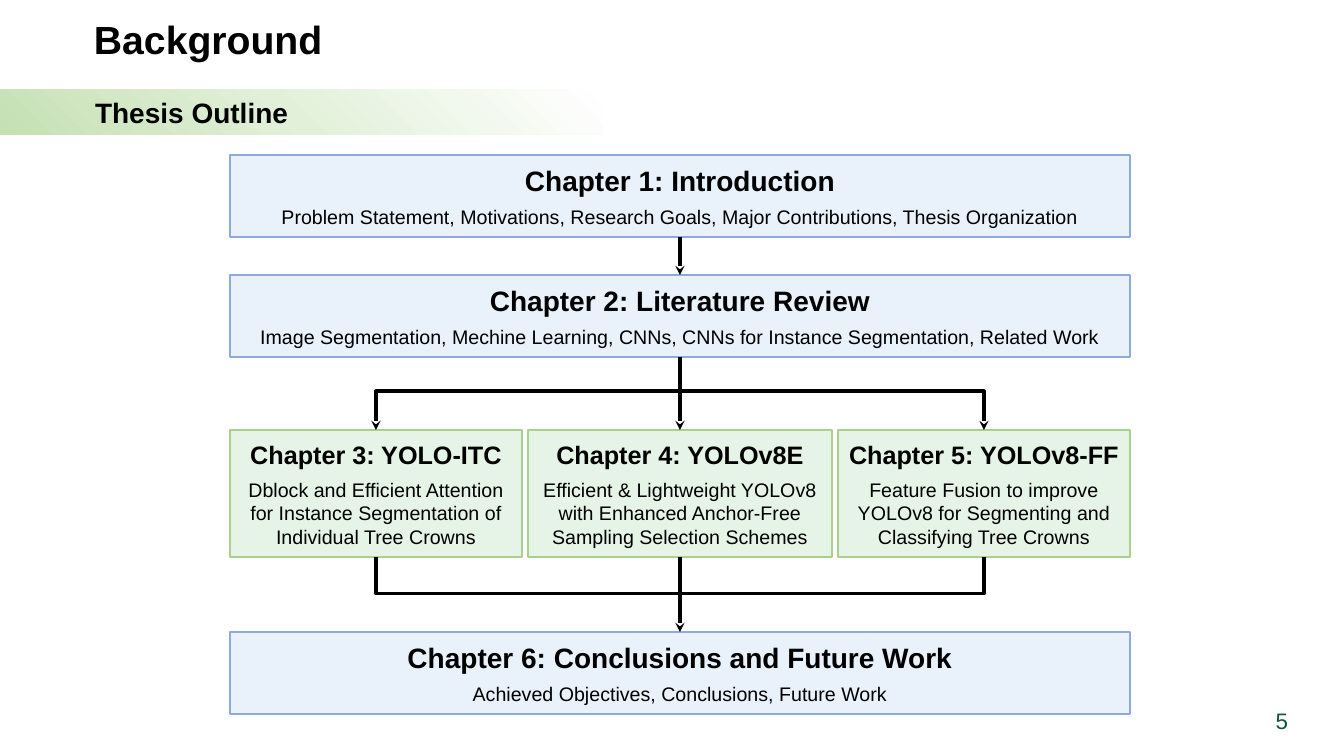
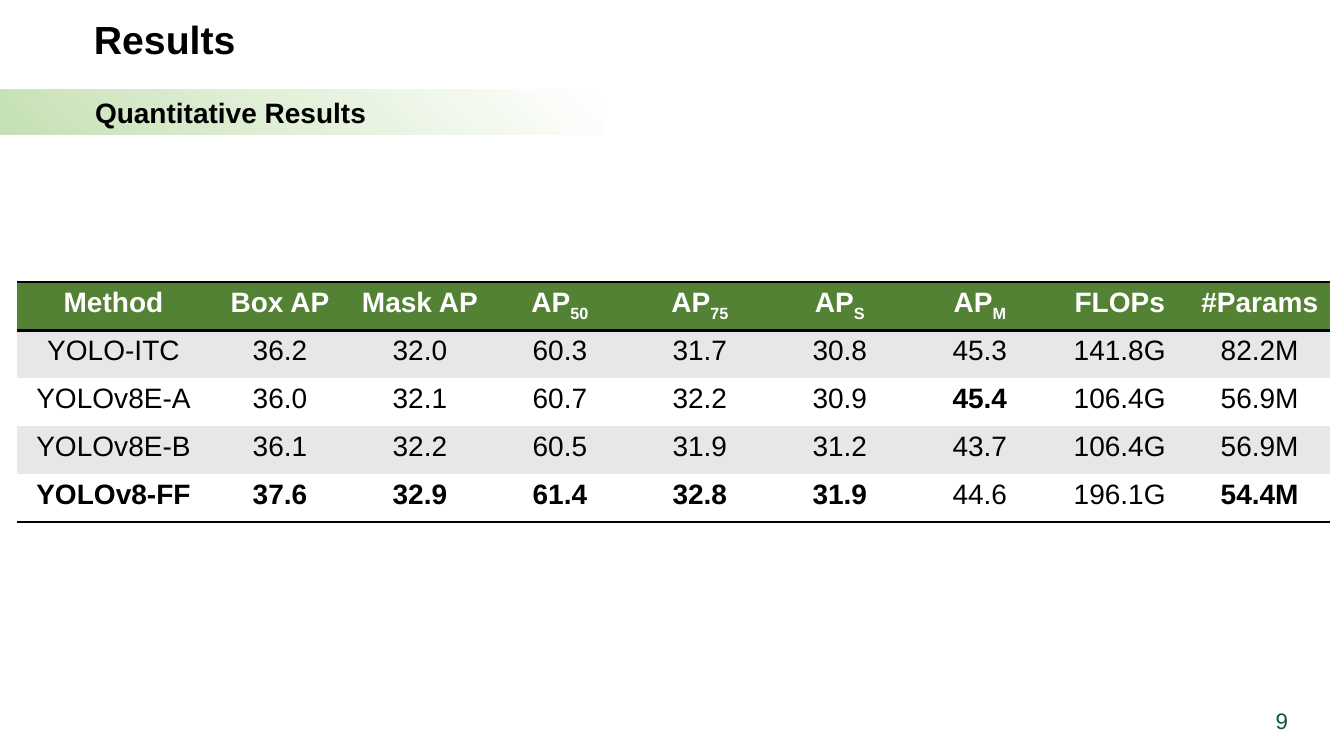
from pptx import Presentation
from pptx.dml.color import RGBColor
from pptx.enum.shapes import MSO_CONNECTOR, MSO_SHAPE
from pptx.enum.text import MSO_ANCHOR, PP_ALIGN
from pptx.oxml import parse_xml
from pptx.oxml.ns import nsdecls, qn
from pptx.util import Emu, Pt

LEFT, CENTER, RIGHT = PP_ALIGN.LEFT, PP_ALIGN.CENTER, PP_ALIGN.RIGHT
TOP, MIDDLE = MSO_ANCHOR.TOP, MSO_ANCHOR.MIDDLE
RECTANGLE = MSO_SHAPE.RECTANGLE
STRAIGHT, ELBOW = MSO_CONNECTOR.STRAIGHT, MSO_CONNECTOR.ELBOW

PX_PER_INCH = 100.8
SLIDE_SIZE = (1344, 756)
FONT = "Arial"
COLORS = {
    "black": "000000",
    "white": "FFFFFF",
    "page_number": "0F5737",
    "band_start": "C5E0B4",
    "band_middle": "E2F0D9",
    "blue_fill": "E9F1FB",
    "blue_line": "8FAADC",
    "green_fill": "E6F3E7",
    "green_line": "A9D18E",
    "table_header": "548235",
    "table_stripe": "E7E7E7",
}
NO_TABLE_STYLE = "{2D5ABB26-0587-4C30-8999-92F81FD0307C}"

CHART_LEFT, CHART_WIDTH = 230, 900
CHART_CENTER = CHART_LEFT + CHART_WIDTH // 2
WIDE_HEIGHT = 82
METHOD_TOP, METHOD_HEIGHT = 430, 127
METHOD_BOTTOM = METHOD_TOP + METHOD_HEIGHT
METHOD_GAP = 6
METHOD_WIDTHS = (292, 304, 292)

WIDE_CHAPTERS = [
    (155, "Chapter 1: Introduction",
     "Problem Statement, Motivations, Research Goals, Major Contributions, "
     "Thesis Organization"),
    (275, "Chapter 2: Literature Review",
     "Image Segmentation, Mechine Learning, CNNs, CNNs for Instance "
     "Segmentation, Related Work"),
    (632, "Chapter 6: Conclusions and Future Work",
     "Achieved Objectives, Conclusions, Future Work"),
]
METHOD_CHAPTERS = [
    ("Chapter 3: YOLO-ITC",
     "Dblock and Efficient Attention for Instance Segmentation of "
     "Individual Tree Crowns"),
    ("Chapter 4: YOLOv8E",
     "Efficient & Lightweight YOLOv8 with Enhanced Anchor-Free "
     "Sampling Selection Schemes"),
    ("Chapter 5: YOLOv8-FF",
     "Feature Fusion to improve YOLOv8 for Segmenting and "
     "Classifying Tree Crowns"),
]

HEADERS = ["Method", "Box AP", "Mask AP", "AP_50", "AP_75", "AP_S", "AP_M",
           "FLOPs", "#Params"]
RESULTS = [
    ["YOLO-ITC", "36.2", "32.0", "60.3", "31.7", "30.8", "45.3", "141.8G", "82.2M"],
    ["YOLOv8E-A", "36.0", "32.1", "60.7", "32.2", "30.9", "45.4", "106.4G", "56.9M"],
    ["YOLOv8E-B", "36.1", "32.2", "60.5", "31.9", "31.2", "43.7", "106.4G", "56.9M"],
    ["YOLOv8-FF", "37.6", "32.9", "61.4", "32.8", "31.9", "44.6", "196.1G", "54.4M"],
]
BEST_RESULTS = {"YOLOv8-FF", "37.6", "32.9", "61.4", "32.8", "31.9", "45.4", "54.4M"}
# 31.9 is also an AP_75 value that is not the best of its column.
NOT_BEST = {("YOLOv8E-B", "AP_75")}


def px(*lengths):
    return [Emu(round(length * 914400 / PX_PER_INCH)) for length in lengths]


def rgb(name):
    return RGBColor.from_string(COLORS[name])


def write(frame, text, size=20, bold=False, color="black", align=LEFT, space_after=0):
    """Append a paragraph; the part of the text after "_" is a subscript."""
    paragraph = frame.paragraphs[0] if not frame.text else frame.add_paragraph()
    paragraph.alignment = align
    paragraph.space_after = Pt(space_after)
    for index, part in enumerate(text.split("_")):
        run = paragraph.add_run()
        run.text = part
        font = run.font
        font.name, font.size, font.bold = FONT, Pt(size), bold
        font.color.rgb = rgb(color)
        if index:
            font._element.set("baseline", "-25000")


def add_text_box(slide, box, text, anchor=TOP, **text_format):
    frame = slide.shapes.add_textbox(*px(*box)).text_frame
    frame.word_wrap = True
    frame.vertical_anchor = anchor
    write(frame, text, **text_format)


def add_rectangle(slide, box):
    shape = slide.shapes.add_shape(RECTANGLE, *px(*box))
    shape.shadow.inherit = False
    shape.text_frame.word_wrap = True
    shape.text_frame.vertical_anchor = MIDDLE
    return shape


def fill_with_radial_gradient(shape):
    """Fade from white to green around the lower left corner."""
    stops = "".join(
        f'<a:gs pos="{position * 1000}"><a:srgbClr val="{COLORS[name]}"/></a:gs>'
        for position, name in ((0, "band_start"), (48, "band_middle"), (100, "white")))
    gradient = parse_xml(
        f'<a:gradFill {nsdecls("a")} rotWithShape="1"><a:gsLst>{stops}</a:gsLst>'
        '<a:path path="circle"><a:fillToRect t="100000" r="100000"/></a:path>'
        '<a:tileRect l="-100000" b="-100000"/></a:gradFill>')
    shape._element.spPr.find(qn("a:prstGeom")).addnext(gradient)


def add_section_band(slide, text):
    band = add_rectangle(slide, (0, 89, 603, 46))
    fill_with_radial_gradient(band)
    band.line.fill.background()
    band.text_frame.margin_left, = px(95)
    write(band.text_frame, text, bold=True)


def add_content_slide(presentation, title, section, number):
    slide = presentation.slides.add_slide(presentation.slide_layouts[6])
    add_text_box(slide, (84, 10, 945, 57), title, size=28, bold=True)
    add_section_band(slide, section)
    add_text_box(slide, (996, 701, 302, 40), str(number), anchor=MIDDLE,
                 size=16, color="page_number", align=RIGHT)
    return slide


def add_chapter(slide, box, title, summary, theme, title_size):
    shape = add_rectangle(slide, box)
    shape.fill.solid()
    shape.fill.fore_color.rgb = rgb(f"{theme}_fill")
    shape.line.color.rgb = rgb(f"{theme}_line")
    shape.line.width = Pt(1)
    write(shape.text_frame, title, size=title_size, bold=True,
          align=CENTER, space_after=6)
    write(shape.text_frame, summary, size=14, align=CENTER, space_after=6)


def add_line(slide, start, end, kind=STRAIGHT, arrow=True):
    """Draw a connector; an elbow runs sideways first, then up or down."""
    connector = slide.shapes.add_connector(kind, *px(*start, *end))
    connector.line.color.rgb = rgb("black")
    connector.line.width = Pt(2.25)
    properties = connector._element.spPr
    if kind == ELBOW:
        properties.find(qn("a:prstGeom")).set("prst", "bentConnector2")
    if arrow:
        properties.find(qn("a:ln")).append(
            parse_xml(f'<a:tailEnd {nsdecls("a")} type="stealth"/>'))
    properties.append(parse_xml(f'<a:effectLst {nsdecls("a")}/>'))


def add_outline(slide):
    for top, title, summary in WIDE_CHAPTERS:
        add_chapter(slide, (CHART_LEFT, top, CHART_WIDTH, WIDE_HEIGHT),
                    title, summary, "blue", 20)

    left = CHART_LEFT
    method_centers = []
    for width, (title, summary) in zip(METHOD_WIDTHS, METHOD_CHAPTERS):
        add_chapter(slide, (left, METHOD_TOP, width, METHOD_HEIGHT),
                    title, summary, "green", 18)
        method_centers.append(left + width // 2)
        left += width + METHOD_GAP

    intro_top, review_top, conclusion_top = [top for top, *_ in WIDE_CHAPTERS]
    for start, end in ((intro_top + WIDE_HEIGHT, review_top),
                       (review_top + WIDE_HEIGHT, METHOD_TOP),
                       (METHOD_BOTTOM, conclusion_top)):
        add_line(slide, (CHART_CENTER, start), (CHART_CENTER, end))

    split = (review_top + WIDE_HEIGHT + METHOD_TOP) // 2 - 2
    merge = (METHOD_BOTTOM + conclusion_top) // 2
    for center in (method_centers[0], method_centers[-1]):
        add_line(slide, (CHART_CENTER, split), (center, METHOD_TOP), ELBOW)
        add_line(slide, (CHART_CENTER, merge), (center, METHOD_BOTTOM), ELBOW,
                 arrow=False)


def add_border(cell, side):
    """Rule one side of a cell: "T" is the top and "B" the bottom."""
    border = parse_xml(
        f'<a:ln{side} {nsdecls("a")} w="{Pt(2)}"><a:solidFill>'
        f'<a:srgbClr val="{COLORS["black"]}"/></a:solidFill></a:ln{side}>')
    properties = cell._tc.get_or_add_tcPr()
    properties.insert(len(properties.findall(qn("a:lnT"))), border)


def fill_cell(cell, text, fill, borders="", **text_format):
    cell.fill.solid()
    cell.fill.fore_color.rgb = rgb(fill)
    write(cell.text_frame, text, align=CENTER, **text_format)
    for side in borders:
        add_border(cell, side)


def add_results_table(slide):
    column_widths = [193] + [140] * (len(HEADERS) - 1)
    row_count, row_height = len(RESULTS) + 1, 48
    table = slide.shapes.add_table(
        row_count, len(HEADERS),
        *px(17, 282, sum(column_widths), row_count * row_height)).table
    table.first_row = table.horz_banding = False
    table._tbl.tblPr.find(qn("a:tableStyleId")).text = NO_TABLE_STYLE
    for column, width in zip(table.columns, px(*column_widths)):
        column.width = width

    for column, header in enumerate(HEADERS):
        fill_cell(table.cell(0, column), header, "table_header", "TB",
                  bold=True, color="white")
    for row, values in enumerate(RESULTS, start=1):
        fill = "table_stripe" if row % 2 else "white"
        borders = "B" if row == len(RESULTS) else ""
        for column, value in enumerate(values):
            best = (value in BEST_RESULTS
                    and (values[0], HEADERS[column]) not in NOT_BEST)
            fill_cell(table.cell(row, column), value, fill, borders, bold=best)


def main():
    presentation = Presentation()
    presentation.slide_width, presentation.slide_height = px(*SLIDE_SIZE)
    add_outline(add_content_slide(presentation, "Background", "Thesis Outline", 5))
    add_results_table(
        add_content_slide(presentation, "Results", "Quantitative Results", 9))
    presentation.save("out.pptx")


if __name__ == "__main__":
    main()
